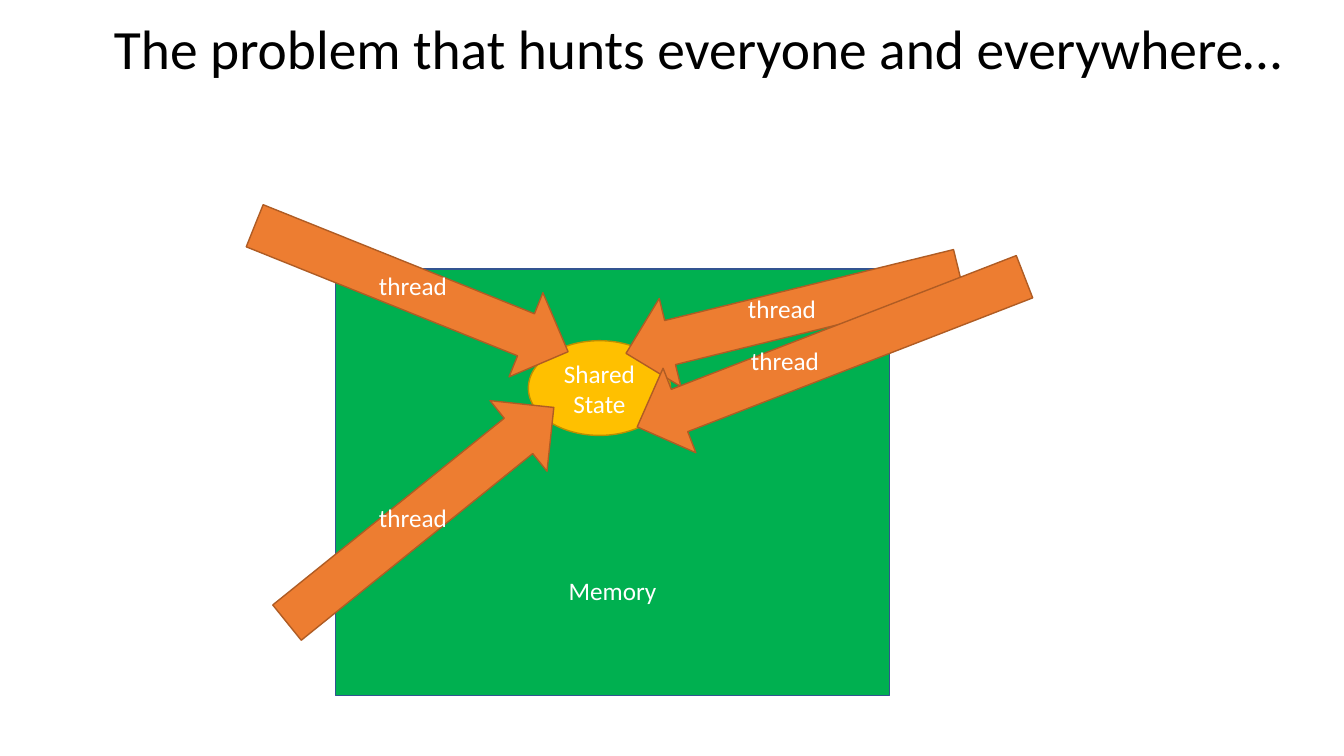
"""Build a slide showing threads contending for shared state in memory."""
from dataclasses import dataclass

from pptx import Presentation
from pptx.dml.color import RGBColor
from pptx.enum.shapes import MSO_SHAPE
from pptx.enum.text import MSO_ANCHOR, MSO_AUTO_SIZE, PP_ALIGN
from pptx.util import Inches, Pt

RECTANGLE, OVAL, UP_ARROW = MSO_SHAPE.RECTANGLE, MSO_SHAPE.OVAL, MSO_SHAPE.UP_ARROW
TOP, MIDDLE = MSO_ANCHOR.TOP, MSO_ANCHOR.MIDDLE
LEFT, CENTER = PP_ALIGN.LEFT, PP_ALIGN.CENTER
NO_AUTOFIT = MSO_AUTO_SIZE.NONE
TITLE_ONLY = 5
ARROW_WIDTH = 0.9


@dataclass(frozen=True)
class Block:
    """A filled preset shape with optional lines of text."""

    kind: MSO_SHAPE
    left: float
    top: float
    width: float
    height: float
    fill: str
    line: str
    rotation: float = 0
    lines: tuple[str, ...] = ()
    top_inset: float = 0


@dataclass(frozen=True)
class ThreadArrow:
    """Position, length and rotation of a thread's arrow."""

    left: float
    top: float
    length: float
    rotation: float


BLOCKS = (
    Block(RECTANGLE, 3.33, 2.67, 5.49, 4.23, "00B050", "325491",
          lines=("Memory",), top_inset=2.14),
    Block(OVAL, 5.24, 3.38, 1.41, 0.94, "FFC000", "BD8E00", lines=("Shared", "State")),
)
THREAD_ARROWS = (
    ThreadArrow(3.72, 3.41, 3.4, 51.1),
    ThreadArrow(3.63, 1.19, 3.35, 111.9),
    ThreadArrow(7.41, 1.4, 3.4, 256.2),
    ThreadArrow(7.79, 1.43, 4.12, 248.8),
)
LABEL_POSITIONS = ((3.66, 2.63), (7.32, 2.86), (7.35, 3.38), (3.66, 4.93))


def color(value: str) -> RGBColor:
    """Convert a hex string to a colour."""
    return RGBColor.from_string(value)


def apply_format(target, values: dict) -> None:
    """Set every attribute in the format values."""
    for name, value in values.items():
        setattr(target, name, value)


def write_text(shape, lines: tuple[str, ...], size: float, text_color: str,
               alignment: PP_ALIGN, frame_format: dict) -> None:
    """Write formatted paragraphs into a shape."""
    frame = shape.text_frame
    apply_format(frame, {"word_wrap": True, "auto_size": NO_AUTOFIT} | frame_format)
    frame.text = "\n".join(lines)
    for paragraph in frame.paragraphs:
        paragraph.alignment = alignment
        apply_format(paragraph.font, {"name": "Calibri", "size": Pt(size)})
        paragraph.font.color.rgb = color(text_color)


def add_block(slide, block: Block) -> None:
    """Draw a block and its text."""
    shape = slide.shapes.add_shape(block.kind, Inches(block.left), Inches(block.top),
                                   Inches(block.width), Inches(block.height))
    shape.shadow.inherit = False
    shape.rotation = block.rotation
    shape.fill.solid()
    shape.fill.fore_color.rgb = color(block.fill)
    shape.line.color.rgb = color(block.line)
    shape.line.width = Pt(1)
    if block.lines:
        write_text(shape, block.lines, 18, "FFFFFF", CENTER, {
            "vertical_anchor": MIDDLE, "margin_top": Inches(block.top_inset),
            "margin_bottom": 0, "margin_left": 0, "margin_right": 0})


def add_label(slide, left: float, top: float) -> None:
    """Add a thread label."""
    label = slide.shapes.add_textbox(Inches(left), Inches(top), Inches(0.92), Inches(0.4))
    write_text(label, ("thread",), 18, "FFFFFF", LEFT, {"vertical_anchor": TOP})


def add_title(slide) -> None:
    """Place and format the title."""
    title = slide.shapes.title
    apply_format(title, {"left": Inches(1.03), "top": Inches(0.14),
                         "width": Inches(12.18), "height": Inches(0.75)})
    write_text(title, ("The problem that hunts everyone and everywhere…",), 39.6,
               "000000", LEFT, {"vertical_anchor": MIDDLE})
    title.text_frame.paragraphs[0].line_spacing = 0.9


def main() -> None:
    """Build and save the presentation."""
    presentation = Presentation()
    presentation.slide_width, presentation.slide_height = Inches(13.33), Inches(7.5)
    slide = presentation.slides.add_slide(presentation.slide_layouts[TITLE_ONLY])
    add_title(slide)
    arrows = tuple(Block(UP_ARROW, arrow.left, arrow.top, ARROW_WIDTH, arrow.length,
                         "ED7D31", "AF5C24", arrow.rotation) for arrow in THREAD_ARROWS)
    for block in BLOCKS + arrows:
        add_block(slide, block)
    for left, top in LABEL_POSITIONS:
        add_label(slide, left, top)
    presentation.save("out.pptx")


if __name__ == "__main__":
    main()
